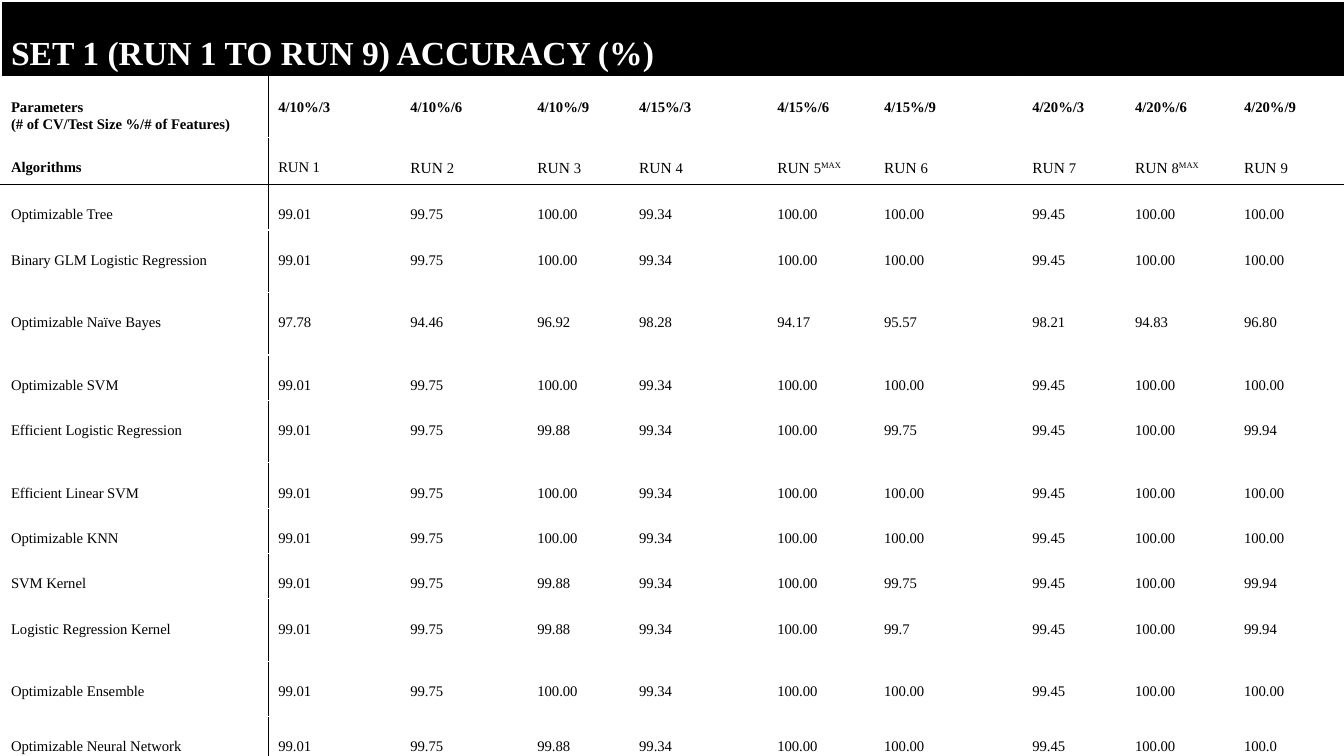
from lxml.etree import SubElement
from pptx import Presentation
from pptx.dml.color import RGBColor
from pptx.enum.text import MSO_ANCHOR, PP_ALIGN
from pptx.oxml.ns import qn
from pptx.util import Inches, Pt

BLACK, WHITE = "000000", "FFFFFF"
COLUMNS = [2.65, 1.31, 1.26, 1.01, 1.37, 1.06, 1.47, 1.02, 1.08, 1.11]
ROWS = [0.66, 0.45, 0.47, 0.45, 0.62, 0.62, 0.45, 0.62,
        0.45, 0.45, 0.45, 0.62, 0.55, 0.62]
SETTINGS = [f"4/{size}%/{features}" for size in (10, 15, 20) for features in (3, 6, 9)]
MAX_RUNS = (5, 8)
ACCURACY = [
    ("Optimizable Tree", "99.01 99.75 100.00 99.34 100.00 100.00 99.45 100.00 100.00"),
    ("Binary GLM Logistic Regression", "99.01 99.75 100.00 99.34 100.00 100.00 99.45 100.00 100.00"),
    ("Optimizable Naïve Bayes", "97.78 94.46 96.92 98.28 94.17 95.57 98.21 94.83 96.80"),
    ("Optimizable SVM", "99.01 99.75 100.00 99.34 100.00 100.00 99.45 100.00 100.00"),
    ("Efficient Logistic Regression", "99.01 99.75 99.88 99.34 100.00 99.75 99.45 100.00 99.94"),
    ("Efficient Linear SVM", "99.01 99.75 100.00 99.34 100.00 100.00 99.45 100.00 100.00"),
    ("Optimizable KNN", "99.01 99.75 100.00 99.34 100.00 100.00 99.45 100.00 100.00"),
    ("SVM Kernel", "99.01 99.75 99.88 99.34 100.00 99.75 99.45 100.00 99.94"),
    ("Logistic Regression Kernel", "99.01 99.75 99.88 99.34 100.00 99.7 99.45 100.00 99.94"),
    ("Optimizable Ensemble", "99.01 99.75 100.00 99.34 100.00 100.00 99.45 100.00 100.00"),
    ("Optimizable Neural Network", "99.01 99.75 99.88 99.34 100.00 100.00 99.45 100.00 100.0"),
]


def color(value):
    return RGBColor.from_string(value)


def add_text(p, text, size=10.5, bold=False, fill=BLACK, superscript=False):
    r = p.add_run()
    r.text = text
    r.font.name = "Times New Roman"
    r.font.size = Pt(size)
    r.font.bold = bold
    r.font.color.rgb = color(fill)
    if superscript:
        r.font._element.set("baseline", "30000")


class TableSlide:
    def __init__(self, prs):
        self.s = prs.slides.add_slide(prs.slide_layouts[6])

    def table(self, left, top, width, height, columns, rows):
        frame = self.s.shapes.add_table(len(rows), len(columns), Inches(left),
                                        Inches(top), Inches(width), Inches(height))
        self.tbl = frame.table
        self.tbl.first_row = self.tbl.horz_banding = False
        for column, size in zip(self.tbl.columns, columns):
            column.width = Inches(size)
        for row, size in zip(self.tbl.rows, rows):
            row.height = Inches(size)
        frame.height = Inches(height)

    def borders(self, cell, **sides):
        """Outline the four sides; each side may give its own (colour, points)."""
        tcPr = cell._tc.get_or_add_tcPr()
        for index, side in enumerate("LRTB"):
            line, points = sides.get(side, (WHITE, 1))
            ln = SubElement(tcPr, qn(f"a:ln{side}"), w=str(Pt(points)))
            SubElement(SubElement(ln, qn("a:solidFill")), qn("a:srgbClr"), val=line)
            tcPr.insert(index, ln)

    def cell(self, row, col, *lines, fill=WHITE, top=0.22, **fmt):
        """Each line is a string or a list of (text, format) runs."""
        cell = self.tbl.cell(row, col)
        cell.fill.solid()
        cell.fill.fore_color.rgb = color(fill)
        cell.margin_top = Inches(top)
        tf = cell.text_frame
        for index, line in enumerate(lines):
            p = tf.add_paragraph() if index else tf.paragraphs[0]
            if col == 0 and row > 0:
                p.alignment = PP_ALIGN.JUSTIFY
            for text, extra in [(line, {})] if isinstance(line, str) else line:
                add_text(p, text, **{**fmt, **extra})
        rule = (BLACK, 1)
        sides = {}
        if row == 0:
            sides["B"] = (WHITE, 3)
        else:
            if row == 1:
                sides["T"] = (WHITE, 3)
            if col < 2:
                sides["L" if col else "R"] = rule
            if row in (2, 3):
                sides["B" if row == 2 else "T"] = rule
        self.borders(cell, **sides)
        return cell


def run_label(number):
    line = [("RUN ", {"size": 10.5 if number == 1 else 11}), (str(number), {})]
    if number in MAX_RUNS:
        line.append(("MAX", {"superscript": True}))
    return line


def main():
    prs = Presentation()
    prs.slide_width, prs.slide_height = Inches(13.33), Inches(7.5)
    slide = TableSlide(prs)
    slide.table(0.01, 0.01, 13.33, 7.8, COLUMNS, ROWS)

    # Title band across all columns
    last = len(COLUMNS) - 1
    slide.tbl.cell(0, 0).merge(slide.tbl.cell(0, last))
    title = slide.cell(0, 0, "SET 1 (RUN 1 TO RUN 9) ACCURACY (%)", fill=BLACK,
                       top=0.34, size=24, bold=True)
    title.vertical_anchor = MSO_ANCHOR.MIDDLE
    for r in title.text_frame.paragraphs[0].runs:
        r.font.color.rgb = color(WHITE)
    for col in range(1, last + 1):
        slide.cell(0, col, fill=BLACK)

    # Header rows: parameters and runs
    slide.cell(1, 0, "Parameters", "(# of CV/Test Size %/# of Features)", bold=True)
    slide.cell(2, 0, "Algorithms", bold=True)
    for col, setting in enumerate(SETTINGS, 1):
        slide.cell(1, col, setting, bold=True)
        slide.cell(2, col, run_label(col))

    # Accuracy of each algorithm
    for row, (algorithm, values) in enumerate(ACCURACY, 3):
        for col, text in enumerate([algorithm, *values.split()]):
            slide.cell(row, col, text)

    prs.save("out.pptx")


if __name__ == "__main__":
    main()
